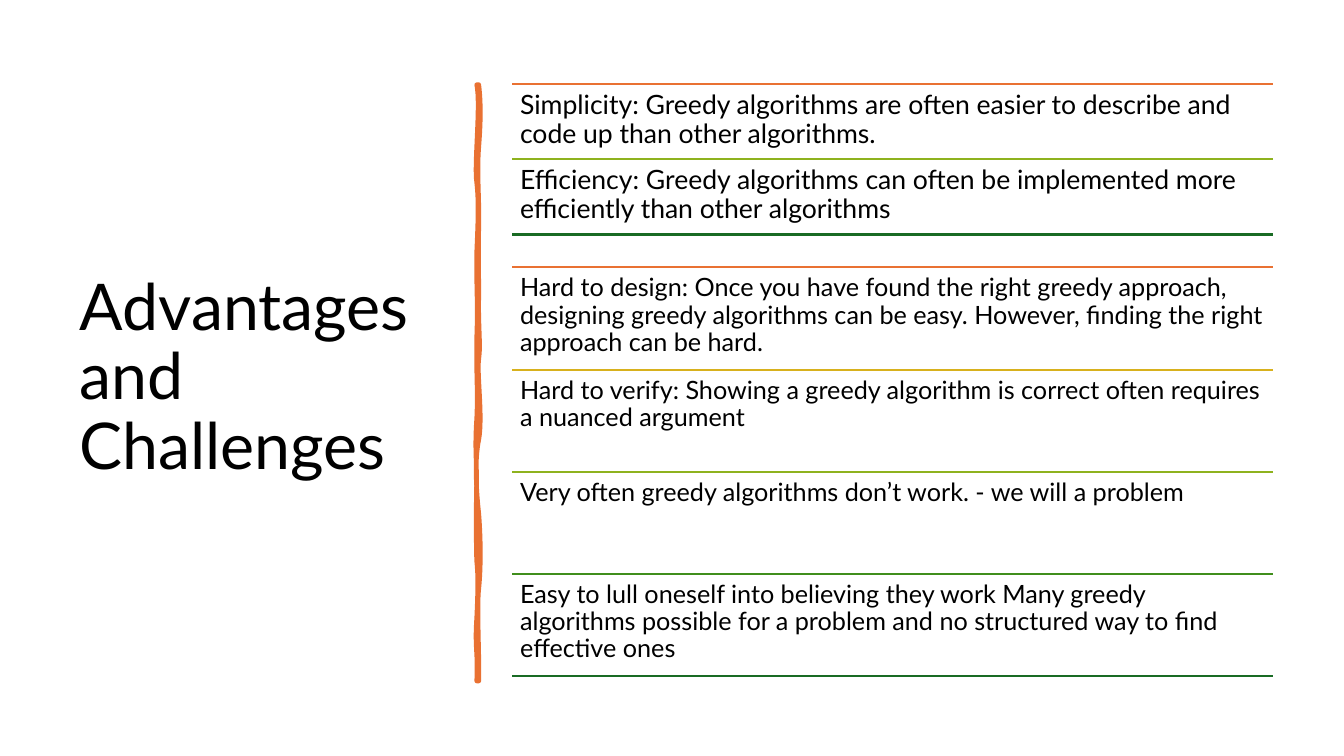
from pptx import Presentation, util as u
from pptx.dml.color import RGBColor
from pptx.enum import shapes, text
from pptx.oxml import parse_xml
from pptx.oxml.ns import nsdecls, qn

PX = 6350  # 144 px to the inch
ORANGE, GOLD, LIME, LEAF, GREEN = "E97132", "D8B11D", "8EB21E", "408E1C", "196B24"


def hue(code):
    return RGBColor.from_string(code)


def px(*vals):
    return [u.Emu(v * PX) for v in vals]


class Deck:
    font, ink = "Lato", "000000"

    def __init__(self, wide, high):
        self.prs = Presentation()
        self.prs.slide_width, self.prs.slide_height = px(wide, high)
        self.slide = self.prs.slides.add_slide(self.prs.slide_layouts[6])

    def label(self, words, box, size, pad, anchor):
        frame = self.slide.shapes.add_textbox(*px(*box)).text_frame
        form = {"word_wrap": True, "vertical_anchor": anchor}
        for side in ("left", "top", "right", "bottom"):
            form["margin_" + side] = px(pad)[0]
        for key, val in form.items():
            setattr(frame, key, val)
        para = frame.paragraphs[0]
        para.line_spacing = 0.9
        run = para.add_run()
        run.text = words
        for key, val in {"name": self.font, "size": u.Pt(size)}.items():
            setattr(run.font, key, val)
        run.font.color.rgb = hue(self.ink)

    def rule(self, left, top, wide, color):
        ends = px(left, top, left + wide, top)
        line = self.slide.shapes.add_connector(shapes.MSO_CONNECTOR.STRAIGHT, *ends)
        line.line.color.rgb = hue(color)
        line.line.width = u.Pt(1.5)
        line._element.spPr.append(parse_xml(f"<a:effectLst {nsdecls('a')}/>"))

    def stroke(self, start, curves, color, width):
        ends = [curve[-1] for curve in curves]
        pen = self.slide.shapes.build_freeform(*start, scale=PX)
        pen.add_line_segments(ends, close=True)
        shape = pen.convert_to_shape()
        shape.shadow.inherit = False
        shape.fill.solid()
        shape.fill.fore_color.rgb = shape.line.color.rgb = hue(color)
        shape.line.width = u.Pt(width)

        # Bend each straight segment into its cubic curve
        left, top = (min(vals) for vals in zip(start, *ends))
        outline = shape._element.spPr.find(".//" + qn("a:path"))
        for side, curve in zip(outline.findall(qn("a:lnTo")), curves):
            dots = "".join(f'<a:pt x="{x - left}" y="{y - top}"/>' for x, y in curve)
            bend = parse_xml(f"<a:cubicBezTo {nsdecls('a')}>{dots}</a:cubicBezTo>")
            outline.replace(side, bend)

        # Round ends and corners
        edge = shape._element.spPr.find(qn("a:ln"))
        edge.set("cap", "rnd")
        edge.append(parse_xml(f"<a:round {nsdecls('a')}/>"))

    def stack(self, top, wide, tall, size, items, colors):
        # Equal rows, a rule above each one and a last rule below
        left, count = 732, len(items)
        for i, color in enumerate(colors):
            y = top + i * tall // count
            self.rule(left, y, wide, color)
            if i < count:
                self.label(items[i], (left, y, wide, tall // count), size, 11,
                           text.MSO_ANCHOR.TOP)


def main():
    deck = Deck(1920, 1080)

    # Title
    deck.label("Advantages and Challenges", (100, 101, 539, 880), 46, 14,
               text.MSO_ANCHOR.MIDDLE)

    # Hand-drawn divider: down the right edge, up the left edge
    deck.stroke((684, 121), [
        ((687, 147), (687, 171), (684, 210)), ((681, 249), (685, 281), (684, 325)),
        ((683, 370), (684, 377), (684, 423)), ((683, 468), (687, 492), (684, 513)),
        ((681, 533), (690, 596), (684, 628)), ((678, 658), (680, 697), (684, 734)),
        ((687, 772), (687, 812), (684, 841)), ((681, 868), (685, 936), (684, 973)),
        ((683, 973), (681, 973), (681, 973)), ((683, 930), (678, 927), (681, 883)),
        ((683, 840), (683, 821), (681, 802)), ((680, 783), (680, 713), (681, 687)),
        ((681, 661), (678, 641), (681, 598)), ((683, 556), (680, 537), (681, 482)),
        ((683, 429), (680, 405), (681, 360)), ((683, 314), (684, 288), (681, 261)),
        ((677, 235), (687, 150), (681, 121)),
    ], ORANGE, 3.25)

    # Advantages
    deck.stack(120, 1086, 215, 19, [
        "Simplicity: Greedy algorithms are often easier to describe and code up "
        "than other algorithms.",
        "Efficiency: Greedy algorithms can often be implemented more efficiently "
        "than other algorithms",
    ], [ORANGE, LIME, GREEN])

    # Challenges
    deck.stack(382, 1087, 584, 18, [
        "Hard to design: Once you have found the right greedy approach, designing "
        "greedy algorithms can be easy. However, finding the right approach can be hard.",
        "Hard to verify: Showing a greedy algorithm is correct often requires "
        "a nuanced argument",
        "Very often greedy algorithms don’t work. - we will a problem",
        "Easy to lull oneself into believing they work Many greedy algorithms possible "
        "for a problem and no structured way to find effective ones",
    ], [ORANGE, GOLD, LIME, LEAF, GREEN])

    deck.prs.save("out.pptx")


if __name__ == "__main__":
    main()
